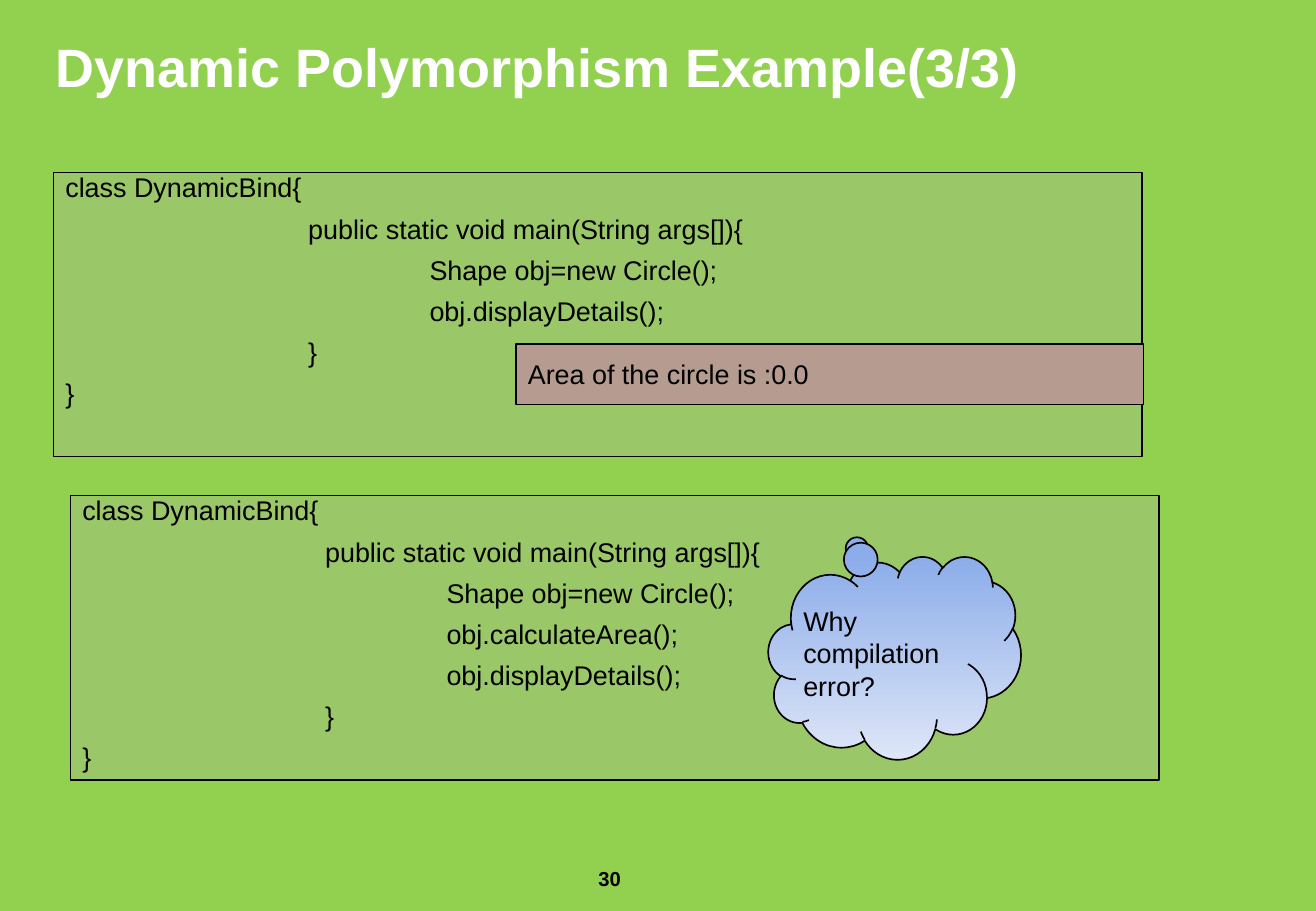
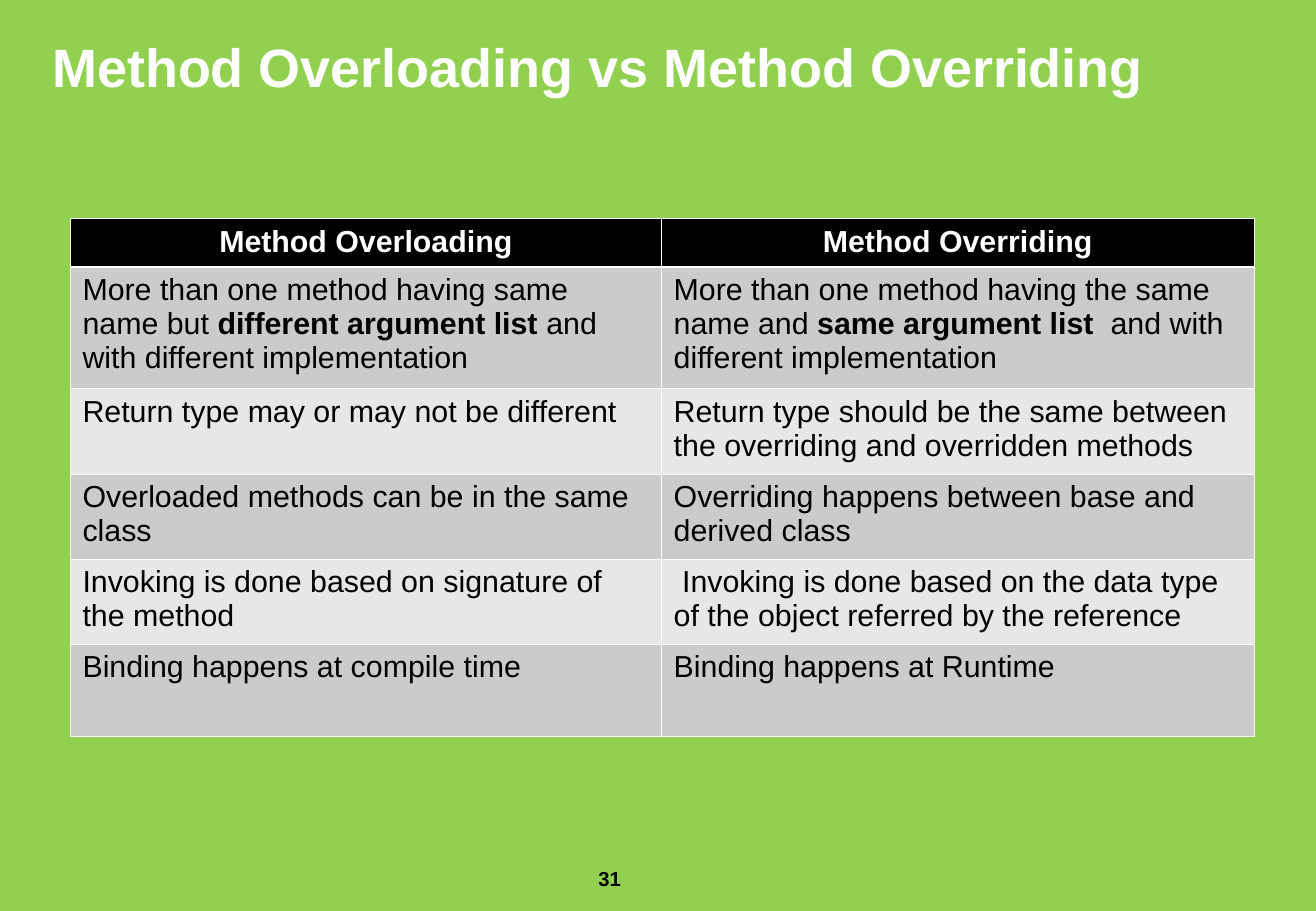
from lxml import etree
from pptx import Presentation
from pptx.dml.color import RGBColor
from pptx.enum.shapes import MSO_SHAPE
from pptx.enum.text import MSO_ANCHOR, PP_ALIGN
from pptx.oxml.ns import qn
from pptx.util import Inches, Pt

RECTANGLE, CLOUD = MSO_SHAPE.RECTANGLE, MSO_SHAPE.CLOUD_CALLOUT
TOP, MIDDLE = MSO_ANCHOR.TOP, MSO_ANCHOR.MIDDLE
LEFT, CENTER = PP_ALIGN.LEFT, PP_ALIGN.CENTER
FONT = "Arial"
COLORS = {
    "background": "92D050", "black": "000000", "white": "FFFFFF",
    "code": "B2B2B2", "output": "B69C90",
    "cloud_top": "8CADEA", "cloud_bottom": "DEE6F7",
    "band_dark": "CBCBCB", "band_light": "E7E7E7",
}


def style_text(paragraph, size, color="black", bold=False, align=LEFT):
    paragraph.alignment = align
    for run in paragraph.runs:
        run.font.name = FONT
        run.font.size = Pt(size)
        run.font.bold = bold
        run.font.color.rgb = RGBColor.from_string(COLORS[color])


def add_panel(slide, kind, box, lines, anchor=MIDDLE):
    panel = slide.shapes.add_shape(kind, *map(Inches, box))
    panel.shadow.inherit = False
    panel.line.color.rgb = RGBColor.from_string(COLORS["black"])
    panel.line.width = Pt(1)
    frame = panel.text_frame
    frame.word_wrap = True
    frame.vertical_anchor = anchor
    frame.text = "\n".join(lines)
    for paragraph in frame.paragraphs:
        style_text(paragraph, 16)
    return panel


prs = Presentation()
prs.slide_width, prs.slide_height = Inches(10.84), Inches(7.5)
background = prs.slide_master.background.fill
background.solid()
background.fore_color.rgb = RGBColor.from_string(COLORS["background"])

slides = []
for number, heading, left, width in [
    (30, "Dynamic Polymorphism Example(3/3)", 0.36, 8.83),
    (31, "Method Overloading vs Method Overriding", 0.33, 9.39),
]:
    slide = prs.slides.add_slide(prs.slide_layouts[5])
    slides.append(slide)
    title = slide.shapes.title
    title.left, title.top = Inches(left), Inches(0.01)
    title.width, title.height = Inches(width), Inches(1.06)
    title.text_frame.text = heading
    title.text_frame.vertical_anchor = MIDDLE
    style_text(title.text_frame.paragraphs[0], 32, "white", True)
    run_fill = title.text_frame.paragraphs[0].runs[0].font.fill._xPr.find(qn("a:solidFill"))
    effects = etree.Element(qn("a:effectLst"))
    shadow = etree.SubElement(effects, qn("a:outerShdw"), dist="38100", dir="2700000")
    etree.SubElement(shadow, qn("a:srgbClr"), val=COLORS["black"])
    run_fill.addnext(effects)

    page = slide.shapes.add_textbox(Inches(4.83), Inches(7.08), Inches(0.92), Inches(0.52))
    page.text_frame.word_wrap = True
    page.text_frame.text = str(number)
    style_text(page.text_frame.paragraphs[0], 12, bold=True)

example, comparison = slides

opening = ["class DynamicBind{", "\t\tpublic static void main(String args[]){",
           "\t\t\tShape obj=new Circle();"]
closing = ["\t\t\tobj.displayDetails();", "\t\t}", "}"]
for left, top, extra_calls in [(0.44, 1.42, []), (0.58, 4.08, ["\t\t\tobj.calculateArea();"])]:
    code = add_panel(example, RECTANGLE, (left, top, 8.97, 2.34),
                     opening + extra_calls + closing, TOP)
    code.fill.solid()
    code.fill.fore_color.rgb = RGBColor.from_string(COLORS["code"])
    code_color = code.fill._xPr.find(qn("a:solidFill"))[0]
    etree.SubElement(code_color, qn("a:alpha"), val="25000")
    for index, paragraph in enumerate(code.text_frame.paragraphs):
        tabs = etree.SubElement(paragraph._p.get_or_add_pPr(), qn("a:tabLst"))
        for stop in range(1, 4):
            etree.SubElement(tabs, qn("a:tab"), pos=str(Inches(stop)), algn="l")
        paragraph.line_spacing = 0.75
        if index:
            paragraph.space_before = Pt(10)

    if not extra_calls:
        output = add_panel(example, RECTANGLE, (4.25, 2.83, 5.17, 0.5),
                           ["Area of the circle is :0.0"])
        output.fill.solid()
        output.fill.fore_color.rgb = RGBColor.from_string(COLORS["output"])

question = add_panel(example, CLOUD, (6.33, 4.58, 2.08, 1.67), ["Why compilation error?"])
question.text_frame.margin_left = question.text_frame.margin_right = 0
question.adjustments[0], question.adjustments[1] = -0.15, -0.54
question.fill.gradient()
question.fill.gradient_angle = 270
for stop, position, name in zip(question.fill.gradient_stops, (0, 1),
                                ("cloud_top", "cloud_bottom")):
    stop.position = position
    stop.color.rgb = RGBColor.from_string(COLORS[name])

rows = [
    (["Method Overloading"], ["Method Overriding"]),
    (["More than one method having same name but ", "different argument list ",
      "and with different implementation"],
     ["More than one method having the same name and ", "same argument list",
      "  and with different implementation"]),
    (["Return type may or may not be different"],
     ["Return type should be the same between the overriding and overridden methods"]),
    (["Overloaded methods can be in the same class"],
     ["Overriding happens between base and derived class"]),
    (["Invoking is done based on signature of the method"],
     [" Invoking is done based on the data type of the object referred by the reference"]),
    (["Binding happens at compile time"], ["Binding happens at Runtime"]),
]
row_heights = [0.4, 1, 0.7, 0.7, 0.7, 0.76]
table = comparison.shapes.add_table(len(rows), 2, Inches(0.58), Inches(1.8),
                                    Inches(9.75), Inches(sum(row_heights))).table
for column, width in zip(table.columns, (4.87, 4.88)):
    column.width = Inches(width)
for row_index, (row, height) in enumerate(zip(rows, row_heights)):
    table.rows[row_index].height = Inches(height)
    header = row_index == 0
    band = "black" if header else "band_dark" if row_index % 2 else "band_light"
    for column_index, parts in enumerate(row):
        cell = table.cell(row_index, column_index)
        paragraph = cell.text_frame.paragraphs[0]
        for part in parts:
            paragraph.add_run().text = part
        style_text(paragraph, 18, "white" if header else "black", header,
                   CENTER if header else LEFT)
        for emphasis in paragraph.runs[1::2]:
            emphasis.font.bold = True
        properties = cell._tc.get_or_add_tcPr()
        for side in ("L", "R", "T", "B"):
            heavy = (row_index, side) in ((0, "B"), (1, "T"))
            border = etree.SubElement(properties, qn("a:ln" + side),
                                      w=str(Pt(1.47 if heavy else 0.45)))
            border_fill = etree.SubElement(border, qn("a:solidFill"))
            etree.SubElement(border_fill, qn("a:srgbClr"), val=COLORS["white"])
        cell.fill.solid()
        cell.fill.fore_color.rgb = RGBColor.from_string(COLORS[band])

prs.save("out.pptx")
